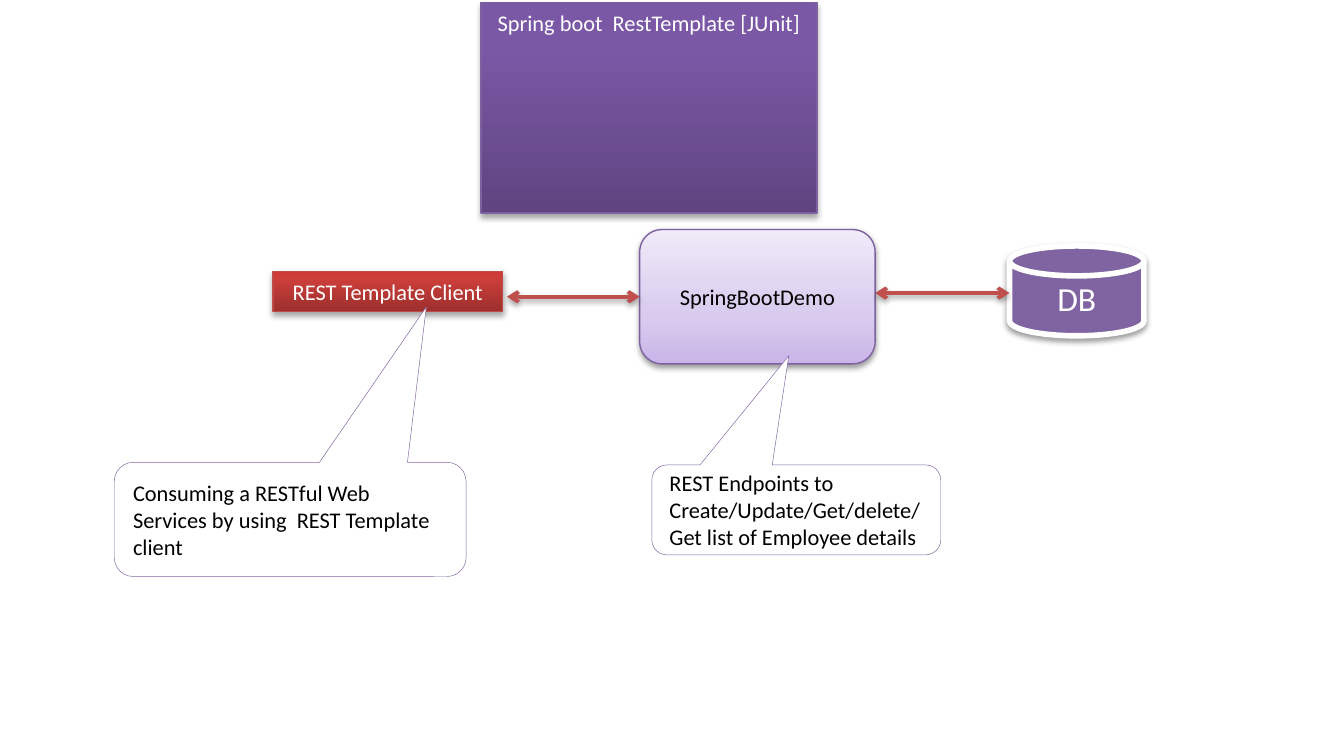
from lxml.etree import SubElement
from pptx import Presentation
from pptx.dml.color import RGBColor
from pptx.enum.shapes import MSO_CONNECTOR, MSO_SHAPE as SHAPE
from pptx.enum.text import MSO_ANCHOR as ANCHOR, MSO_AUTO_SIZE as FIT, PP_ALIGN as ALIGN
from pptx.oxml.ns import qn
from pptx.util import Cm, Pt

THEME = {
    "font": "Calibri", "body": 12, "large": 18,
    "white": "FFFFFF", "black": "000000",
    "purple": "8064A2", "purple_edge": "7D60A0",
    "red": "C0504D", "red_edge": "BF4C48",
    "dark_purple": [(0, "5F4480"), (80, "7B58A6"), (100, "7C57A8")],
    "light_purple": [(0, "C9B5E8"), (35, "D8CBEE"), (100, "F0EAF9")],
    "dark_red": [(0, "9C2F2D"), (80, "CB3E3A"), (100, "CE3B37")],
}

# Content: boxes are left, top, width, height in cm
TITLE = ("Spring boot  RestTemplate [JUnit]", (9.09, 0.05, 6.35, 0.76))
# shape, text, box, fill, edge, edge width, text colour, text size, shadow opacity
NODES = {
    "client": (SHAPE.RECTANGLE, "REST Template Client", (5.16, 5.13, 4.34, 0.76),
               "dark_red", "red_edge", 0.75, "white", "body", 35),
    "app": (SHAPE.ROUNDED_RECTANGLE, "SpringBootDemo", (12.09, 4.34, 4.45, 2.54),
            "light_purple", "purple_edge", 0.75, "black", "body", 38),
    "db": (SHAPE.FLOWCHART_MAGNETIC_DISK, "DB", (19.08, 4.65, 2.54, 1.7),
           "purple", "white", 3, "white", "large", 38),
}
# text, box, pointer position relative to the box
CALLOUTS = [
    ("REST Endpoints to Create/Update/Get/delete/Get list of Employee details",
     (12.32, 8.79, 5.46, 1.7), (-0.026, -1.714)),
    ("Consuming a RESTful Web Services by using  REST Template client",
     (2.16, 8.74, 6.65, 2.16), (0.387, -1.86)),
]
# start x, end x, y, node joined at the end
ARROWS = [(9.58, 12.09, 5.61, "app"), (16.54, 19.08, 5.54, None)]


def rgb(name):
    return RGBColor.from_string(THEME[name])


def place(sp, box):
    sp.left, sp.top, sp.width, sp.height = map(Cm, box)


def paint(sp, fill, edge, width):
    if isinstance(THEME[fill], list):
        sp.fill.gradient()
        sp.fill.gradient_angle = 90
        stops = sp.element.spPr.find(".//" + qn("a:gsLst"))
        for old in list(stops):
            stops.remove(old)
        for pos, colour in THEME[fill]:
            stop = SubElement(stops, qn("a:gs"), pos=str(pos * 1000))
            SubElement(stop, qn("a:srgbClr"), val=colour)
    else:
        sp.fill.solid()
        sp.fill.fore_color.rgb = rgb(fill)
    sp.line.color.rgb = rgb(edge)
    sp.line.width = Pt(width)


def add_shadow(sp, opacity):
    spPr = sp.element.spPr
    effects = spPr.find(qn("a:effectLst"))
    if effects is None:
        effects = SubElement(spPr, qn("a:effectLst"))
    dist = "23000" if opacity == 35 else "20000"
    shadow = SubElement(effects, qn("a:outerShdw"), blurRad="40000", dist=dist,
                        dir="5400000", rotWithShape="0")
    colour = SubElement(shadow, qn("a:srgbClr"), val=THEME["black"])
    SubElement(colour, qn("a:alpha"), val=str(opacity * 1000))


def write(sp, text, colour, size="body", align=ALIGN.CENTER, fit=False):
    tf = sp.text_frame
    tf.word_wrap = not fit
    tf.auto_size = FIT.SHAPE_TO_FIT_TEXT if fit else FIT.NONE
    tf.vertical_anchor = ANCHOR.TOP if fit else ANCHOR.MIDDLE
    p = tf.paragraphs[0]
    p.alignment = align
    r = p.add_run()
    r.text = text
    r.font.name, r.font.size = THEME["font"], Pt(THEME[size])
    r.font.color.rgb = rgb(colour)


prs = Presentation()
prs.slide_width, prs.slide_height = Cm(25.4), Cm(13.97)
slide = prs.slides.add_slide(prs.slide_layouts[5])
shapes = slide.shapes

# Title banner
text, box = TITLE
title = shapes.title
place(title, box)
paint(title, "dark_purple", "purple_edge", 0.75)
title.shadow.inherit = False
add_shadow(title, 35)
write(title, text, "white", fit=True)

# Client, application and database
nodes = {}
for name, (kind, text, box, fill, edge, width, colour, size, opacity) in NODES.items():
    sp = nodes[name] = shapes.add_shape(kind, *map(Cm, box))
    paint(sp, fill, edge, width)
    sp.shadow.inherit = False
    add_shadow(sp, opacity)
    write(sp, text, colour, size, fit=kind == SHAPE.RECTANGLE)

# Two-way arrows
for x1, x2, y, target in ARROWS:
    line = shapes.add_connector(MSO_CONNECTOR.STRAIGHT, Cm(x1), Cm(y), Cm(x2), Cm(y))
    if target:
        line.end_connect(nodes[target], 1)
    line.line.color.rgb = rgb("red")
    line.line.width = Pt(2)
    ln = line.element.spPr.find(qn("a:ln"))
    for end in ("a:headEnd", "a:tailEnd"):
        SubElement(ln, qn(end), type="arrow")
    add_shadow(line, 38)

# Callouts
for text, box, pointer in CALLOUTS:
    sp = shapes.add_shape(SHAPE.ROUNDED_RECTANGULAR_CALLOUT, *map(Cm, box))
    sp.adjustments[0], sp.adjustments[1] = pointer
    paint(sp, "white", "purple", 0.25)
    sp.shadow.inherit = False
    write(sp, text, "black", align=ALIGN.LEFT)

prs.save("out.pptx")
